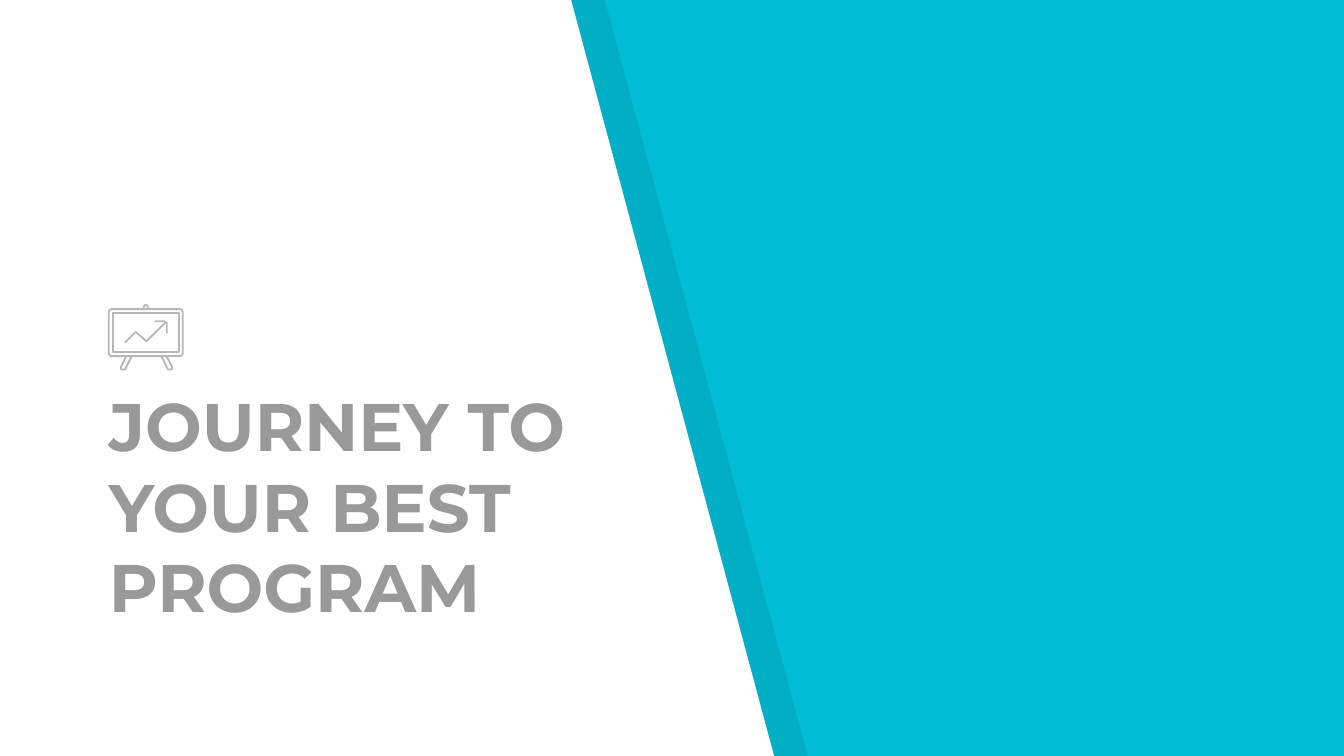
from lxml.etree import SubElement
from pptx import Presentation
from pptx.dml.color import RGBColor
from pptx.enum.shapes import MSO_SHAPE
from pptx.enum.text import MSO_ANCHOR, MSO_AUTO_SIZE, PP_ALIGN
from pptx.oxml.ns import qn
from pptx.util import Inches, Pt

WIDTH = 10
HEIGHT = WIDTH * 9 / 16
CYAN, WHITE, BLACK, TITLE_GREY, ICON_GREY = "00BCD4", "FFFFFF", "000000", "999999", "B7B7B7"
PANEL_TOP, PANEL_BOTTOM, PANEL_SHIFT = 4.25, 5.76, 0.25
ICON_COLS, ICON_ROWS = 55, 48
LEG = [(13, 38), (9, 46), (9, 48), (11, 48), (12, 48), (17, 38)]
ICON_STROKES = [
    [(29, 3), (29, 1), (28, 0), (27, 0), (26, 1), (26, 3)],
    LEG,
    [(56 - col, row) for col, row in LEG],
    [(42, 13), (29, 26), (28, 27), (27, 26), (20, 20), (12, 28)],
    [(34, 12), (41, 12), (43, 13), (43, 14), (43, 21)],
]


def paint(fill, colour):
    """Give a fill one solid hex colour."""
    fill.solid()
    fill.fore_color.rgb = RGBColor.from_string(colour)


def outline(slide, points, closed):
    """Build a freeform through points given in inches."""
    corners = [(Inches(x), Inches(y)) for x, y in points]
    builder = slide.shapes.build_freeform(*corners[0])
    builder.add_line_segments(corners[1:], close=closed)
    shape = builder.convert_to_shape()
    shape.shadow.inherit = False
    return shape


def add_panel(slide, box, colour, opacity=100):
    """Place a slanted panel whose top edge is shorter than its bottom edge."""
    left, top, width, height = box
    corners = [(0, 0), (0, 1), (1, 1), (PANEL_TOP / PANEL_BOTTOM, 0)]
    panel = outline(slide, [(left + x * width, top + y * height) for x, y in corners], True)
    paint(panel.fill, colour)
    panel.line.fill.background()
    if opacity < 100:
        tint = panel.element.spPr.find(qn("a:solidFill"))[0]
        SubElement(tint, qn("a:alpha"), val=str(opacity * 1000))


def add_chart_board(slide, box):
    """Draw the easel icon with its rising trend arrow on a grid inside the box."""
    left, top, width, height = box
    col_step, row_step = width / ICON_COLS, height / ICON_ROWS
    parts = []
    for kind, inset in ((MSO_SHAPE.ROUNDED_RECTANGLE, 0), (MSO_SHAPE.RECTANGLE, 3)):
        part = slide.shapes.add_shape(
            kind,
            Inches(left + inset * col_step), Inches(top + (3 + inset) * row_step),
            Inches((55 - 2 * inset) * col_step), Inches((35 - 2 * inset) * row_step))
        part.shadow.inherit = False
        parts.append(part)
    parts[0].adjustments[0] = 0.06
    for stroke in ICON_STROKES:
        points = [(left + col * col_step, top + row * row_step) for col, row in stroke]
        parts.append(outline(slide, points, False))
    for part in parts:
        part.fill.background()
        paint(part.line.fill, ICON_GREY)
        part.line.width = Pt(0.96)


def place_title(slide, box, text):
    """Move the title placeholder to the box, in front of the panels, and format it."""
    title = slide.shapes.title
    title.element.getparent().append(title.element)
    title.left, title.top, title.width, title.height = (Inches(length) for length in box)
    frame = title.text_frame
    frame.text = text
    frame.word_wrap = True
    frame.auto_size = MSO_AUTO_SIZE.NONE
    frame.vertical_anchor = MSO_ANCHOR.BOTTOM
    frame.margin_left = frame.margin_right = Inches(0.1)
    frame.margin_top = frame.margin_bottom = Inches(0.1)
    heading = frame.paragraphs[0]
    heading.alignment = PP_ALIGN.LEFT
    heading.font.name = "Montserrat"
    heading.font.size = Pt(36)
    heading.font.bold = True
    heading.font.color.rgb = RGBColor.from_string(TITLE_GREY)


def main():
    """Build the cover slide and save it."""
    deck = Presentation()
    deck.slide_width, deck.slide_height = Inches(WIDTH), Inches(HEIGHT)
    slide = deck.slides.add_slide(deck.slide_layouts[0])
    subtitle = slide.placeholders[1].element
    subtitle.getparent().remove(subtitle)
    paint(slide.background.fill, CYAN)

    add_panel(slide, (PANEL_SHIFT, 0, PANEL_BOTTOM, HEIGHT), BLACK, opacity=7)
    add_panel(slide, (0, 0, PANEL_BOTTOM, HEIGHT), WHITE)
    place_title(slide, (0.71, 3.47, 4.62, 1.29), "JOURNEY TO YOUR BEST PROGRAM")
    add_chart_board(slide, (0.81, 2.27, 0.55, 0.48))
    deck.save("out.pptx")


if __name__ == "__main__":
    main()
